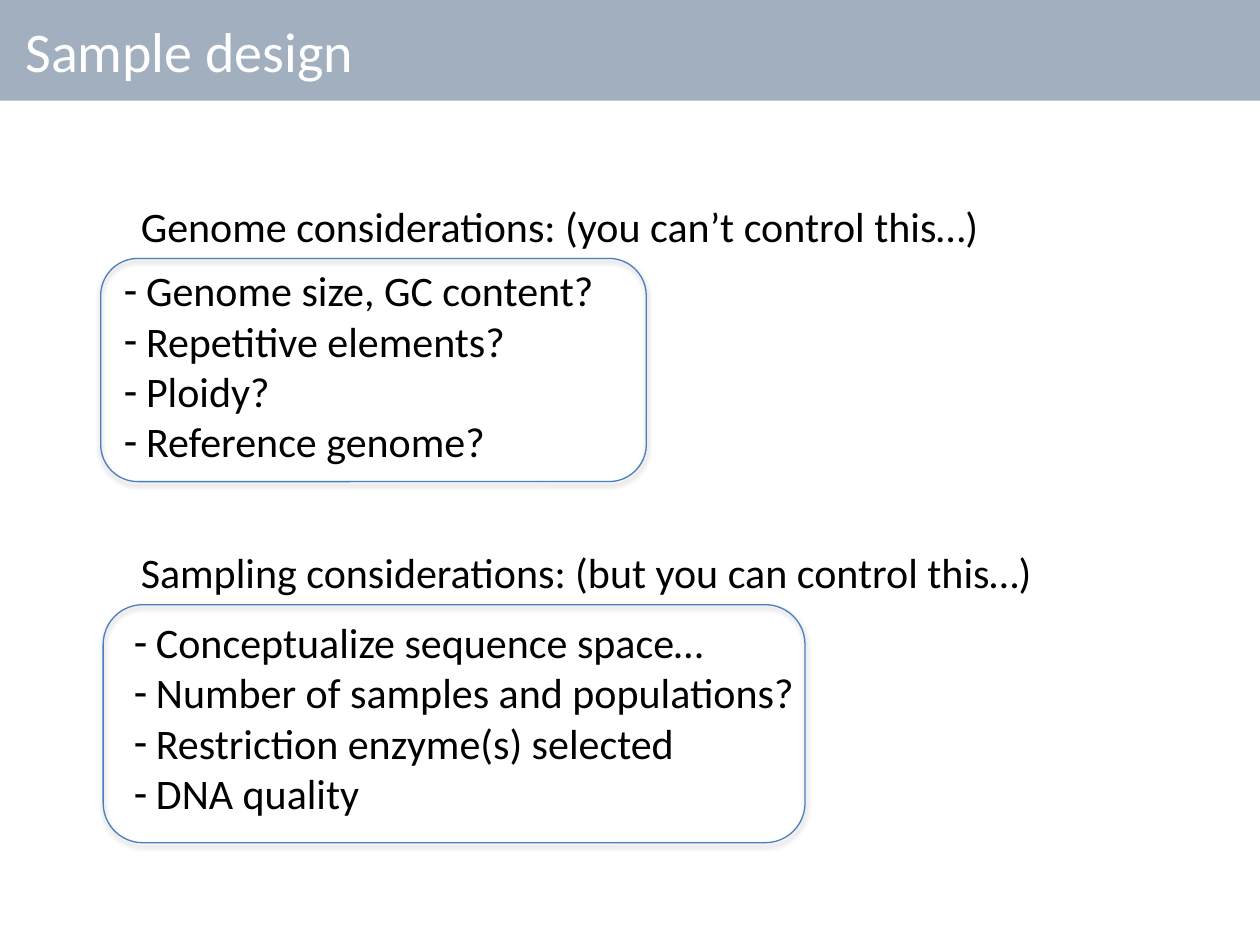
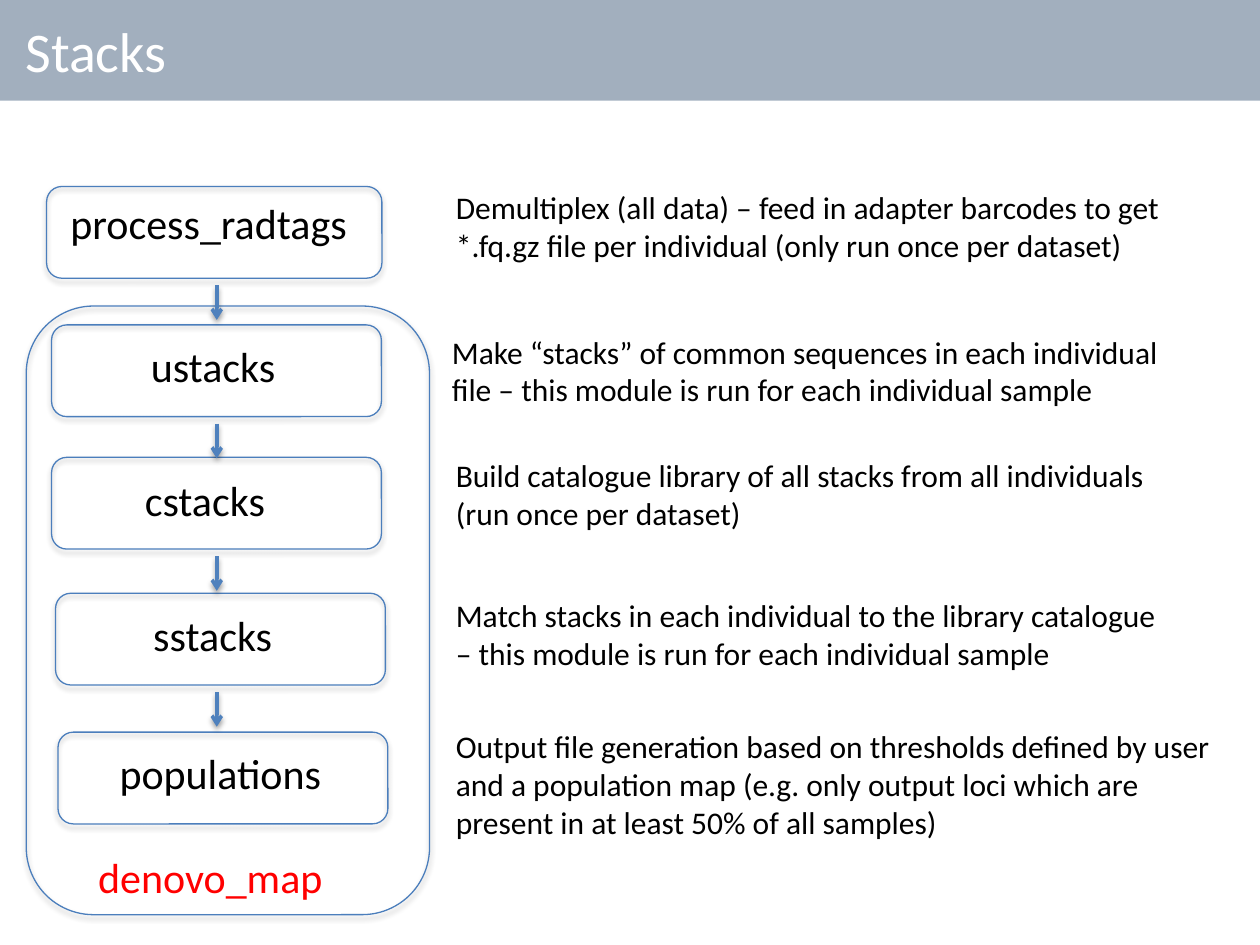
import pptx
import pptx.util
import pptx.dml.color
import pptx.enum.dml
import pptx.enum.shapes
import pptx.enum.text
import pptx.oxml
import pptx.oxml.ns
from lxml import etree

Cm = pptx.util.Cm
Pt = pptx.util.Pt
RGBColor = pptx.dml.color.RGBColor
qn = pptx.oxml.ns.qn

NAVY = RGBColor(0x17, 0x37, 0x5E)
OUTLINE = RGBColor(0x4B, 0x7E, 0xBC)
ARROW = RGBColor(0x4F, 0x81, 0xBD)
BLACK = RGBColor(0, 0, 0)
WHITE = RGBColor(255, 255, 255)
RED = RGBColor(255, 0, 0)

DESIGN_TITLE = "Sample design"
CONSIDERATIONS = [
    {
        "heading": "Genome considerations: (you can’t control this…)",
        "heading_at": (2.59, 3.91, 22.25, 1.28),
        "frame_at": (2.03, 5.21, 11, 4.5),
        "points_at": (2.24, 5.21, 12.7, 4.5),
        "points": ["Genome size, GC content?", "Repetitive elements?",
                   "Ploidy?", "Reference genome?"],
    },
    {
        "heading": "Sampling considerations: (but you can control this…)",
        "heading_at": (2.59, 10.9, 20.85, 1.28),
        "frame_at": (2.08, 12.19, 14.15, 4.8),
        "points_at": (2.44, 12.3, 15, 4.6),
        "points": ["Conceptualize sequence space…",
                   "Number of samples and populations?",
                   "Restriction enzyme(s) selected", "DNA quality"],
    },
]

STACKS_TITLE = "Stacks"
# name, frame (left, top, width), label (left, top), purpose, purpose (left, top, width)
STEPS = [
    ("process_radtags", (0.94, 3.76, 6.76), (1.17, 3.86),
     "Demultiplex (all data) – feed in adapter barcodes to get *.fq.gz file "
     "per individual (only run once per dataset)", (8.94, 3.66, 15.6)),
    ("ustacks", (1.04, 6.55, 6.65), (2.79, 6.73),
     "Make “stacks” of common sequences in each individual file – this module "
     "is run for each individual sample", (8.86, 6.58, 15.06)),
    ("cstacks", (1.04, 9.22, 6.65), (2.67, 9.45),
     "Build catalogue library of all stacks from all individuals "
     "(run once per dataset)", (8.94, 9.07, 15.06)),
    ("sstacks", (1.12, 11.96, 6.65), (2.84, 12.17),
     "Match stacks in each individual to the library catalogue – this module "
     "is run for each individual sample", (8.94, 11.89, 15)),
    ("populations", (1.17, 14.76, 6.65), (2.16, 14.94),
     "Output file generation based on thresholds defined by user and a "
     "population map (e.g. only output loci which are present in at least 50% "
     "of all samples)", (8.94, 14.53, 16.1)),
]
WRAPPER = "denovo_map"
WRAPPER_LABEL_AT = (1.73, 17.04)
WRAPPER_FRAME_AT = (0.53, 6.17, 8.13, 12.27)

STEP_HEIGHT = 1.85
LABEL_SIZE = (7.09, 1.28)
PURPOSE_HEIGHT = 1.8
ARROW_X = 4.37
ARROW_GAP = 0.14
ARROW_LENGTH = 0.7
DASH_INDENT = 0.45

FRAME_FORMAT = {
    "word_wrap": True,
    "auto_size": pptx.enum.text.MSO_AUTO_SIZE.NONE,
    "vertical_anchor": pptx.enum.text.MSO_ANCHOR.TOP,
}
TITLE_FRAME = {**FRAME_FORMAT, "margin_left": Cm(0.51),
               "vertical_anchor": pptx.enum.text.MSO_ANCHOR.MIDDLE}
PARAGRAPH_FORMAT = {
    "alignment": pptx.enum.text.PP_ALIGN.LEFT,
    "space_before": Pt(0),
}


def assign(target, values):
    for name, value in values.items():
        setattr(target, name, value)


def place(shape, at):
    assign(shape, dict(zip(("left", "top", "width", "height"), map(Cm, at))))


def write(shape, lines, size, color=BLACK, frame_format=FRAME_FORMAT, dashed=False):
    frame = shape.text_frame
    frame.text = "\n".join(lines)
    assign(frame, frame_format)
    for paragraph in frame.paragraphs:
        assign(paragraph, PARAGRAPH_FORMAT)
        if dashed:
            properties = paragraph._p.get_or_add_pPr()
            properties.set("marL", str(Cm(DASH_INDENT)))
            properties.set("indent", str(-Cm(DASH_INDENT)))
            etree.SubElement(properties, qn("a:buChar"), char="-")
        assign(paragraph.font, {"name": "Calibri", "size": Pt(size)})
        paragraph.font.color.rgb = color


def add_text(slide, text, at, size=24, color=BLACK):
    write(slide.shapes.add_textbox(*map(Cm, at)), [text], size, color)


def add_shadow(shape, opacity):
    effects = etree.SubElement(shape._element.spPr, qn("a:effectLst"))
    shadow = etree.SubElement(
        effects, qn("a:outerShdw"), blurRad=str(Pt(3.1)), dist=str(Pt(1.8)),
        dir="5400000", rotWithShape="0")
    black = etree.SubElement(shadow, qn("a:srgbClr"), val="000000")
    etree.SubElement(black, qn("a:alpha"), val=str(opacity * 1000))


def add_frame(slide, at):
    frame = slide.shapes.add_shape(
        pptx.enum.shapes.MSO_SHAPE.ROUNDED_RECTANGLE, *map(Cm, at))
    frame.fill.background()
    frame.line.color.rgb = OUTLINE
    frame.line.width = Pt(0.75)
    add_shadow(frame, 35)


def add_arrow(slide, top):
    arrow = slide.shapes.add_connector(
        pptx.enum.shapes.MSO_CONNECTOR.STRAIGHT,
        Cm(ARROW_X), Cm(top), Cm(ARROW_X), Cm(top + ARROW_LENGTH))
    arrow.line.color.rgb = ARROW
    arrow.line.width = Pt(2)
    etree.SubElement(arrow.line._get_or_add_ln(), qn("a:tailEnd"), type="arrow")
    add_shadow(arrow, 38)


def add_slide(deck, layout_name, title):
    slide = deck.slides.add_slide(deck.slide_layouts.get_by_name(layout_name))
    band = slide.shapes.title
    place(band, (0, 0, 25.4, 2.03))
    band.fill.solid()
    band.fill.fore_color.rgb = NAVY
    tint = band._element.spPr.find(".//" + qn("a:srgbClr"))
    etree.SubElement(tint, qn("a:alpha"), val="40000")
    write(band, [title], 32, WHITE, TITLE_FRAME)
    return slide


def build_design(deck):
    slide = add_slide(deck, "Two Content", DESIGN_TITLE)
    for index, group in enumerate(CONSIDERATIONS, start=1):
        add_frame(slide, group["frame_at"])
        add_text(slide, group["heading"], group["heading_at"])
        points = slide.placeholders[index]
        place(points, group["points_at"])
        write(points, group["points"], 24, dashed=True)


def build_stacks(deck):
    slide = add_slide(deck, "Title Only", STACKS_TITLE)
    add_frame(slide, WRAPPER_FRAME_AT)
    for name, frame_at, label_at, purpose, purpose_at in STEPS:
        add_frame(slide, (*frame_at, STEP_HEIGHT))
        add_text(slide, name, label_at + LABEL_SIZE)
        add_text(slide, purpose, (*purpose_at, PURPOSE_HEIGHT), size=18)
    for _, (_, top, _), *_ in STEPS[:-1]:
        add_arrow(slide, top + STEP_HEIGHT + ARROW_GAP)
    add_text(slide, WRAPPER, WRAPPER_LABEL_AT + LABEL_SIZE, color=RED)


def main():
    deck = pptx.Presentation()
    deck.slide_width, deck.slide_height = Cm(25.4), Cm(19.05)
    build_design(deck)
    build_stacks(deck)
    deck.save("out.pptx")


if __name__ == "__main__":
    main()
